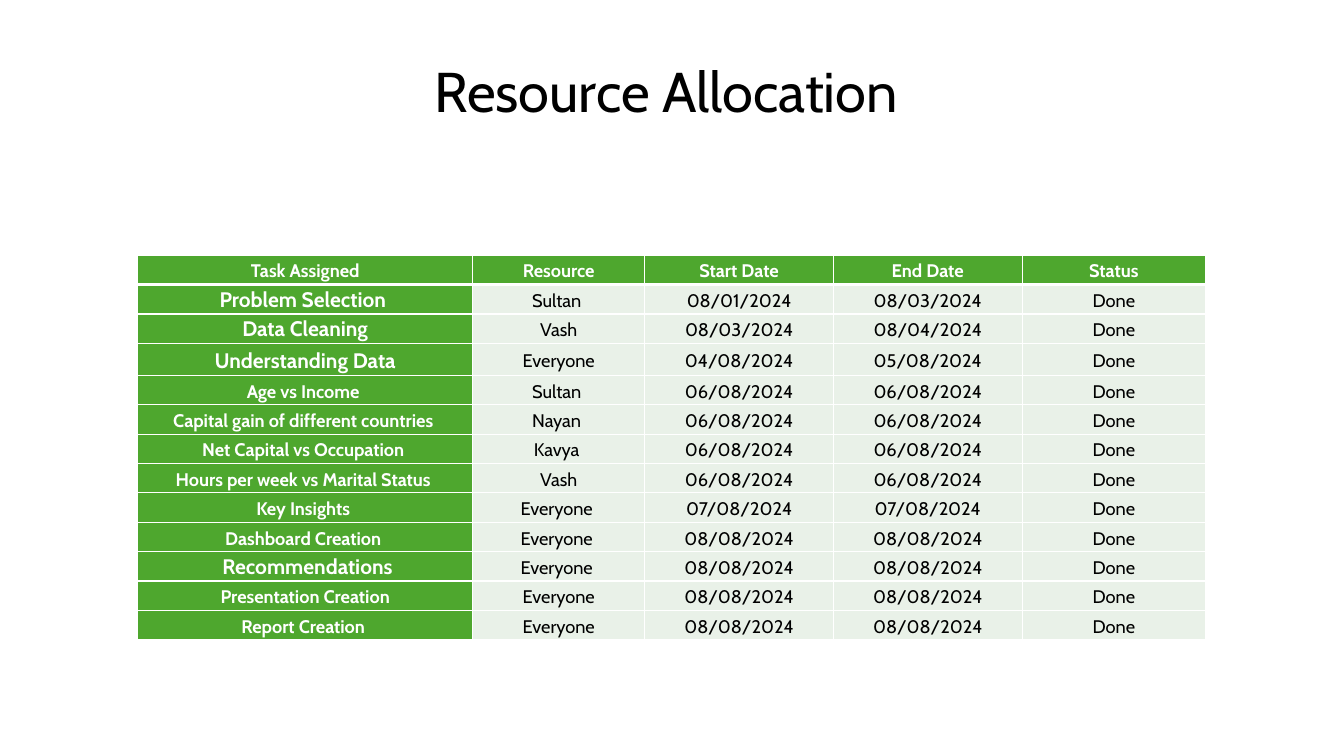
"""Build the resource allocation slide with its task table."""
import lxml.etree
import pptx
import pptx.dml.color
import pptx.enum.shapes
import pptx.enum.text
import pptx.oxml.ns
import pptx.util

Cm = pptx.util.Cm
Pt = pptx.util.Pt
text = pptx.enum.text
hues = {"green": "4EA72E", "pale": "E9F1E8", "white": "FFFFFF", "black": "000000"}


def style(para, size, hue, bold, form):
    """Format one paragraph and its font."""
    for key, val in form.items():
        setattr(para, key, val)
    font = para.runs[0].font
    for key, val in {"name": "Cabin", "size": Pt(size), "bold": bold}.items():
        setattr(font, key, val)
    font.color.rgb = pptx.dml.color.RGBColor.from_string(hues[hue])


def border(cell, side, width):
    """Draw a white line on one side of a cell."""
    qn = pptx.oxml.ns.qn
    props = cell._tc.get_or_add_tcPr()
    line = lxml.etree.SubElement(props, qn(f"a:ln{side}"), w=str(Pt(width)))
    fill = lxml.etree.SubElement(line, qn("a:solidFill"))
    lxml.etree.SubElement(fill, qn("a:srgbClr"), val=hues["white"])


deck = pptx.Presentation()
deck.slide_width = Cm(33.87)
deck.slide_height = Cm(19.05)
slide = deck.slides.add_slide(deck.slide_layouts[5])

title = slide.shapes.title
band = slide.shapes.add_shape(
    pptx.enum.shapes.MSO_SHAPE.RECTANGLE, 0, 0, deck.slide_width, Cm(4.72))
band.shadow.inherit = False
band.fill.solid()
band.fill.fore_color.rgb = pptx.dml.color.RGBColor.from_string(hues["white"])
band.line.fill.background()
title._element.addprevious(band._element)

place = {"left": 3.19, "top": 0.76, "width": 27.51, "height": 3.23}
for key, val in place.items():
    setattr(title, key, Cm(val))
title.text_frame.text = "Resource Allocation "
title.text_frame.vertical_anchor = text.MSO_ANCHOR.MIDDLE
center = {"alignment": text.PP_ALIGN.CENTER}
style(title.text_frame.paragraphs[0], 40, "black", False, center | {"line_spacing": 0.9})

heads = ["Task Assigned", "Resource", "Start Date", "End Date", "Status"]
tasks = [
    ("Problem Selection ", "Sultan ", "08/01/2024", "08/03/2024"),
    ("Data Cleaning", "Vash", "08/03/2024", "08/04/2024"),
    ("Understanding Data", "Everyone", "04/08/2024", "05/08/2024"),
    ("Age vs Income ", "Sultan ", "06/08/2024", "06/08/2024"),
    ("Capital gain of different countries ", "Nayan ", "06/08/2024", "06/08/2024"),
    ("Net Capital vs Occupation ", "Kavya ", "06/08/2024", "06/08/2024"),
    ("Hours per week vs Marital Status ", "Vash", "06/08/2024", "06/08/2024"),
    ("Key Insights ", "Everyone ", "07/08/2024", "07/08/2024"),
    ("Dashboard Creation ", "Everyone ", "08/08/2024", "08/08/2024"),
    (" Recommendations", "Everyone ", "08/08/2024", "08/08/2024"),
    ("Presentation Creation", "Everyone", "08/08/2024", "08/08/2024"),
    ("Report Creation ", "Everyone", "08/08/2024", "08/08/2024"),
]
rows = [heads] + [[*task, "Done"] for task in tasks]
large = {1, 2, 3, 10}
tight = {1, 2, 10}
tall = 3
widths = [8.44, 4.34, 4.75, 4.76, 4.62]

frame = slide.shapes.add_table(
    len(rows), len(heads), Cm(3.47), Cm(6.43), Cm(sum(widths)), Cm(9.69))
table = frame.table
for col, width in zip(table.columns, widths):
    col.width = Cm(width)

inset = {"margin_left": Cm(0.23), "margin_right": Cm(0.23),
         "margin_top": 0, "margin_bottom": 0,
         "vertical_anchor": text.MSO_ANCHOR.MIDDLE}
for r, row in enumerate(rows):
    table.rows[r].height = Cm(0.81 if r == tall else 0.74)
    for c, word in enumerate(row):
        cell = table.cell(r, c)
        cell.text = word
        for key, val in inset.items():
            setattr(cell, key, val)
        sides = {"L": 1, "R": 1, "T": 3 if r == 1 else 1, "B": 3 if r == 0 else 1}
        for side, width in sides.items():
            border(cell, side, width)
        dark = r == 0 or c == 0
        task = r > 0 and c == 0
        cell.fill.solid()
        cell.fill.fore_color.rgb = pptx.dml.color.RGBColor.from_string(
            hues["green" if dark else "pale"])
        form = center | {"line_spacing": 1.02 if task and r in tight else 1.15,
                         "space_after": Pt(0 if task else 10)}
        style(cell.text_frame.paragraphs[0], 15 if task and r in large else 13,
              "white" if dark else "black", dark, form)

deck.save("out.pptx")
